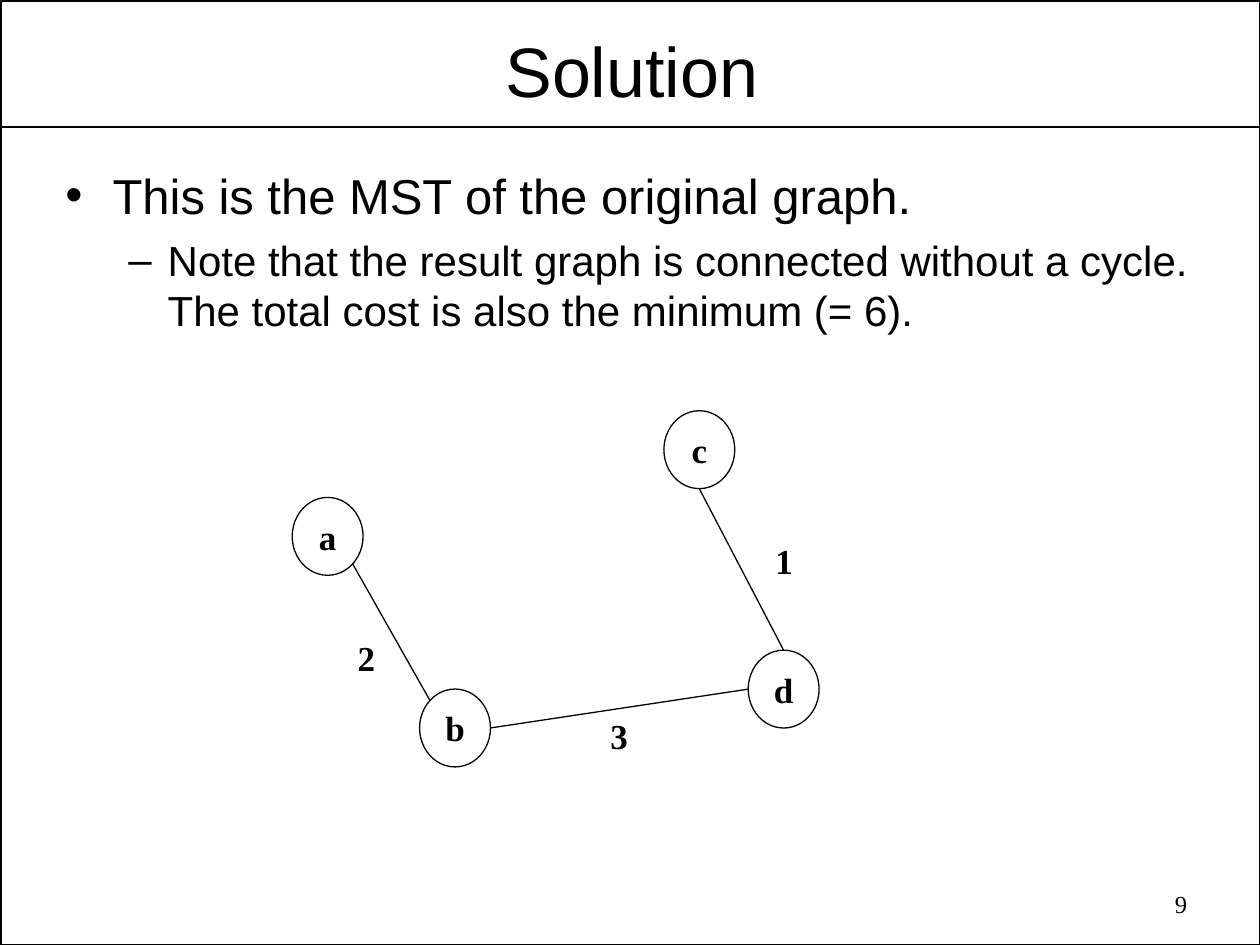
from math import sqrt

from lxml import etree
from pptx import Presentation
from pptx.dml.color import RGBColor
from pptx.enum.shapes import MSO_CONNECTOR, MSO_SHAPE
from pptx.enum.text import MSO_ANCHOR, PP_ALIGN
from pptx.oxml.ns import qn
from pptx.util import Pt

OVAL, RECTANGLE = MSO_SHAPE.OVAL, MSO_SHAPE.RECTANGLE
STRAIGHT = MSO_CONNECTOR.STRAIGHT
LEFT, CENTER, RIGHT = PP_ALIGN.LEFT, PP_ALIGN.CENTER, PP_ALIGN.RIGHT
TOP, MIDDLE = MSO_ANCHOR.TOP, MSO_ANCHOR.MIDDLE
BLACK = RGBColor(0, 0, 0)
SANS, SERIF = "Arial", "Times New Roman"

# Content
TITLE = "Solution"
BULLETS = [  # text, bullet, size, left margin, hanging indent, space before
    ("This is the MST of the original graph.", "•", 28, 27, 27, 7),
    ("Note that the result graph is connected without a cycle. "
     "The total cost is also the minimum (= 6).", "–", 24, 58.5, 22.5, 6),
]
PAGE_NUMBER = "9"
NODES = {"a": (187.2, 306.5), "b": (260, 416), "c": (399.6, 257), "d": (447.8, 393.8)}
NODE_WIDTH, NODE_HEIGHT = 40.5, 44.5
DIAGONAL = 1 / sqrt(2)
SIDES = {"top": (0, -1), "bottom": (0, 1), "left": (-1, 0), "right": (1, 0),
         "top left": (-DIAGONAL, -DIAGONAL), "bottom right": (DIAGONAL, DIAGONAL)}
EDGES = [  # from, side, to, side, weight, centre of the weight
    ("c", "bottom", "d", "top", "1", (448.3, 320.5)),
    ("d", "left", "b", "right", "3", (354, 420.5)),
    ("a", "bottom right", "b", "top left", "2", (209.5, 376)),
]
WEIGHT_WIDTH, WEIGHT_HEIGHT = 24.5, 31.5

deck = Presentation()
deck.slide_width, deck.slide_height = Pt(720), Pt(540)
page = deck.slides.add_slide(deck.slide_layouts[5])


def add_run(para, text, font, size, bold=False):
    span = para.add_run()
    span.text = text
    span.font.name, span.font.size, span.font.bold = font, Pt(size), bold
    span.font.color.rgb = BLACK


def set_frame(frame, side=7.2, edge=3.6, anchor=TOP):
    frame.word_wrap = True
    frame.margin_left = frame.margin_right = Pt(side)
    frame.margin_top = frame.margin_bottom = Pt(edge)
    frame.vertical_anchor = anchor


def add_text(text, left, top, width, height, size, align):
    box = page.shapes.add_textbox(Pt(left), Pt(top), Pt(width), Pt(height))
    set_frame(box.text_frame)
    para = box.text_frame.paragraphs[0]
    para.alignment = align
    add_run(para, text, SERIF, size, bold=size == 20)


def add_outline(kind, left, top, width, height, weight):
    shape = page.shapes.add_shape(kind, Pt(left), Pt(top), Pt(width), Pt(height))
    shape.shadow.inherit = False
    shape.fill.background()
    shape.line.color.rgb = BLACK
    shape.line.width = Pt(weight)
    return shape


def add_line(start, end, weight):
    line = page.shapes.add_connector(STRAIGHT, *(Pt(v) for v in (*start, *end)))
    line.line.color.rgb = BLACK
    line.line.width = Pt(weight)
    etree.SubElement(line._element.spPr, qn("a:effectLst"))


def node_point(name, side):
    (x, y), (across, down) = NODES[name], SIDES[side]
    return x + across * NODE_WIDTH / 2, y + down * NODE_HEIGHT / 2


# Frame and title
add_outline(RECTANGLE, 0.75, 0.75, 719.25, 539.25, 1)
add_line((0.75, 72.75), (719.25, 72.75), 1)
title = page.shapes.title
title.left, title.top, title.width, title.height = Pt(38), Pt(13.5), Pt(646), Pt(52)
set_frame(title.text_frame, 5, 2.2, MIDDLE)
heading = title.text_frame.paragraphs[0]
heading.alignment = CENTER
add_run(heading, TITLE, SANS, 40)

# Bullets
body = page.shapes.add_textbox(Pt(30.25), Pt(90.75), Pt(660.25), Pt(109.5))
set_frame(body.text_frame)
for index, (text, bullet, size, margin, hanging, before) in enumerate(BULLETS):
    para = body.text_frame.add_paragraph() if index else body.text_frame.paragraphs[0]
    para.level = index
    para.space_before = Pt(before)
    add_run(para, text, SANS, size)
    props = para._p.get_or_add_pPr()
    props.set("marL", str(Pt(margin)))
    props.set("indent", str(-Pt(hanging)))
    etree.SubElement(props, qn("a:buFont"), typeface=SANS)
    etree.SubElement(props, qn("a:buChar"), char=bullet)

# Graph nodes
for name, (x, y) in NODES.items():
    node = add_outline(OVAL, x - NODE_WIDTH / 2, y - NODE_HEIGHT / 2,
                       NODE_WIDTH, NODE_HEIGHT, 0.75)
    set_frame(node.text_frame, 0, 0, MIDDLE)
    label = node.text_frame.paragraphs[0]
    label.alignment = CENTER
    add_run(label, name, SERIF, 20, bold=True)

# Graph edges with weights
for first, leaving, second, arriving, weight, (x, y) in EDGES:
    add_line(node_point(first, leaving), node_point(second, arriving), 0.75)
    add_text(weight, x - WEIGHT_WIDTH / 2, y - WEIGHT_HEIGHT / 2,
             WEIGHT_WIDTH, WEIGHT_HEIGHT, 20, LEFT)

# Page number
add_text(PAGE_NUMBER, 517, 504.75, 168.5, 26, 14, RIGHT)

deck.save("out.pptx")
